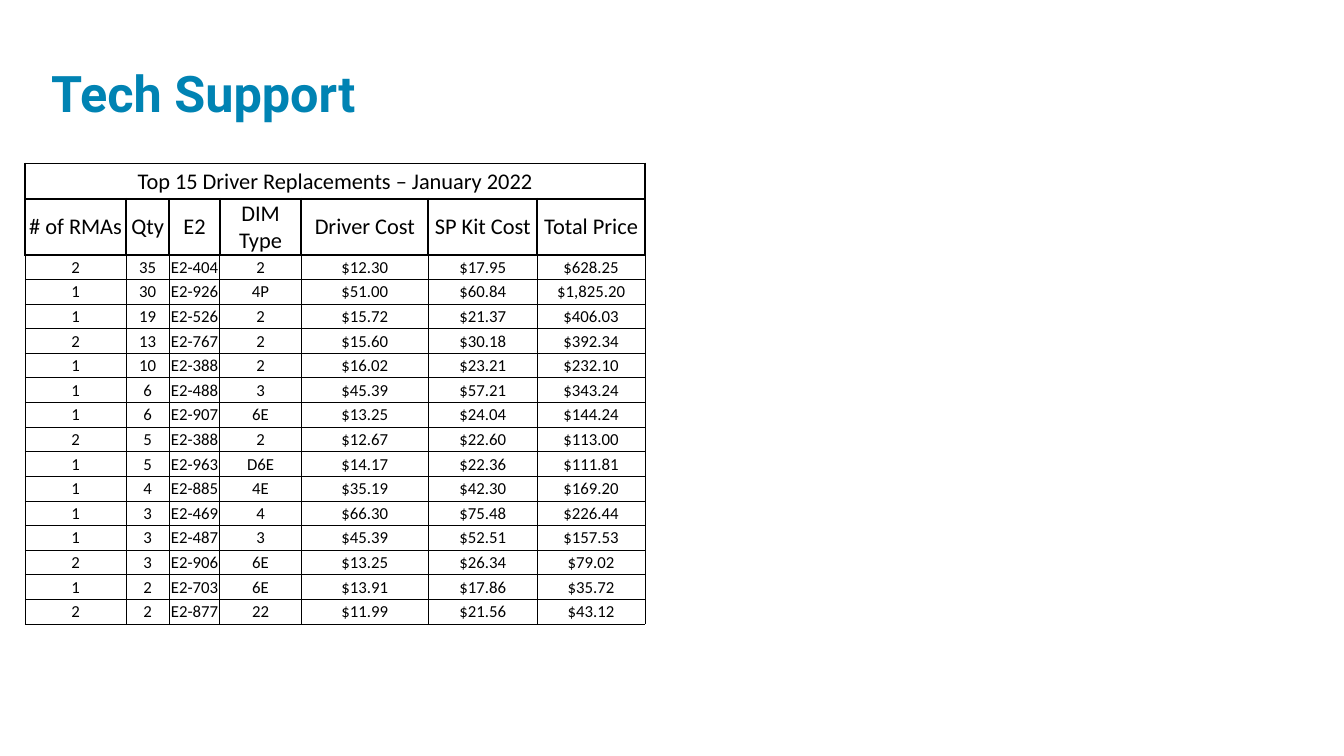
from dataclasses import astuple, dataclass

from lxml.etree import SubElement
from pptx import Presentation
from pptx.dml.color import RGBColor
from pptx.enum.text import MSO_ANCHOR, PP_ALIGN
from pptx.oxml.ns import qn
from pptx.slide import Slide
from pptx.table import _Cell
from pptx.text.text import TextFrame
from pptx.util import Pt


@dataclass(frozen=True)
class Theme:
    heading_font: str = "Roboto"
    table_font: str = "Calibri"
    heading_color: str = "0083B3"
    ink: str = "000000"
    heading_size: float = 36
    header_size: float = 16
    body_size: float = 12
    thick: float = 1.5
    thin: float = 0.5


@dataclass(frozen=True)
class Column:
    label: str
    width: float


@dataclass(frozen=True)
class Replacement:
    rmas: str
    quantity: str
    driver: str
    dim_type: str
    driver_cost: str
    kit_cost: str
    total: str


THEME = Theme()
CAPTION = "Top 15 Driver Replacements – January 2022"
CAPTION_HEIGHT, HEADER_HEIGHT, BODY_HEIGHT = 25.2, 40, 17.6
TABLE_LEFT, TABLE_TOP = 18, 116.8

COLUMNS = [
    Column("# of RMAs", 72),
    Column("Qty", 31),
    Column("E2", 36),
    Column("DIM Type", 58.3),
    Column("Driver Cost", 90.7),
    Column("SP Kit Cost", 77.8),
    Column("Total Price", 77),
]

REPLACEMENTS = [
    Replacement("2", "35", "E2-404", "2", "$12.30", "$17.95", "$628.25"),
    Replacement("1", "30", "E2-926", "4P", "$51.00", "$60.84", "$1,825.20"),
    Replacement("1", "19", "E2-526", "2", "$15.72", "$21.37", "$406.03"),
    Replacement("2", "13", "E2-767", "2", "$15.60", "$30.18", "$392.34"),
    Replacement("1", "10", "E2-388", "2", "$16.02", "$23.21", "$232.10"),
    Replacement("1", "6", "E2-488", "3", "$45.39", "$57.21", "$343.24"),
    Replacement("1", "6", "E2-907", "6E", "$13.25", "$24.04", "$144.24"),
    Replacement("2", "5", "E2-388", "2", "$12.67", "$22.60", "$113.00"),
    Replacement("1", "5", "E2-963", "D6E", "$14.17", "$22.36", "$111.81"),
    Replacement("1", "4", "E2-885", "4E", "$35.19", "$42.30", "$169.20"),
    Replacement("1", "3", "E2-469", "4", "$66.30", "$75.48", "$226.44"),
    Replacement("1", "3", "E2-487", "3", "$45.39", "$52.51", "$157.53"),
    Replacement("2", "3", "E2-906", "6E", "$13.25", "$26.34", "$79.02"),
    Replacement("1", "2", "E2-703", "6E", "$13.91", "$17.86", "$35.72"),
    Replacement("2", "2", "E2-877", "22", "$11.99", "$21.56", "$43.12"),
]


def write_text(frame: TextFrame, text: str, *, size: float, font: str, color: str,
               bold: bool = False, align: PP_ALIGN = PP_ALIGN.LEFT,
               line_spacing: float = 1.0) -> None:
    paragraph = frame.paragraphs[0]
    paragraph.alignment = align
    paragraph.line_spacing = line_spacing
    run = paragraph.add_run()
    run.text = text
    run.font.size = Pt(size)
    run.font.name = font
    run.font.bold = bold
    run.font.color.rgb = RGBColor.from_string(color)


def add_borders(cell: _Cell, *, top: float, others: float) -> None:
    """Draw the four cell borders; call before setting the fill, which must follow them."""
    properties = cell._tc.get_or_add_tcPr()
    for side, width in (("L", others), ("R", others), ("T", top), ("B", others)):
        line = SubElement(properties, qn(f"a:ln{side}"), w=str(Pt(width)))
        fill = SubElement(line, qn("a:solidFill"))
        SubElement(fill, qn("a:srgbClr"), val=THEME.ink)


def format_cell(cell: _Cell, text: str, *, size: float, top: float, others: float) -> None:
    cell.margin_left = cell.margin_right = cell.margin_top = Pt(0.7)
    cell.margin_bottom = Pt(0)
    cell.vertical_anchor = MSO_ANCHOR.MIDDLE
    add_borders(cell, top=top, others=others)
    cell.fill.background()
    if text:
        write_text(cell.text_frame, text, size=size, font=THEME.table_font,
                   color=THEME.ink, align=PP_ALIGN.CENTER)


def add_heading(slide: Slide) -> None:
    heading = slide.shapes.add_textbox(Pt(29.5), Pt(12.2), Pt(684), Pt(78.5)).text_frame
    heading.word_wrap = True
    heading.vertical_anchor = MSO_ANCHOR.BOTTOM
    write_text(heading, "Tech Support", size=THEME.heading_size, font=THEME.heading_font,
               color=THEME.heading_color, bold=True, line_spacing=0.8)


def add_replacements(slide: Slide) -> None:
    caption_row = [CAPTION] + [""] * (len(COLUMNS) - 1)
    rows = [caption_row, [column.label for column in COLUMNS]]
    rows += [list(astuple(replacement)) for replacement in REPLACEMENTS]
    heights = [CAPTION_HEIGHT, HEADER_HEIGHT] + [BODY_HEIGHT] * len(REPLACEMENTS)

    table = slide.shapes.add_table(
        len(rows), len(COLUMNS), Pt(TABLE_LEFT), Pt(TABLE_TOP),
        Pt(sum(column.width for column in COLUMNS)), Pt(sum(heights))).table
    table.first_row = table.horz_banding = False
    for grid_column, column in zip(table.columns, COLUMNS):
        grid_column.width = Pt(column.width)

    for index, (values, height) in enumerate(zip(rows, heights)):
        table.rows[index].height = Pt(height)
        is_header = index < 2
        for cell, value in zip(table.rows[index].cells, values):
            format_cell(cell, value,
                        size=THEME.header_size if is_header else THEME.body_size,
                        top=THEME.thick if index <= 2 else THEME.thin,
                        others=THEME.thick if is_header else THEME.thin)
    table.cell(0, 0).merge(table.cell(0, len(COLUMNS) - 1))


def main() -> None:
    presentation = Presentation()
    presentation.slide_width, presentation.slide_height = Pt(960), Pt(540)
    slide = presentation.slides.add_slide(presentation.slide_layouts[6])
    add_heading(slide)
    add_replacements(slide)
    presentation.save("out.pptx")


if __name__ == "__main__":
    main()
